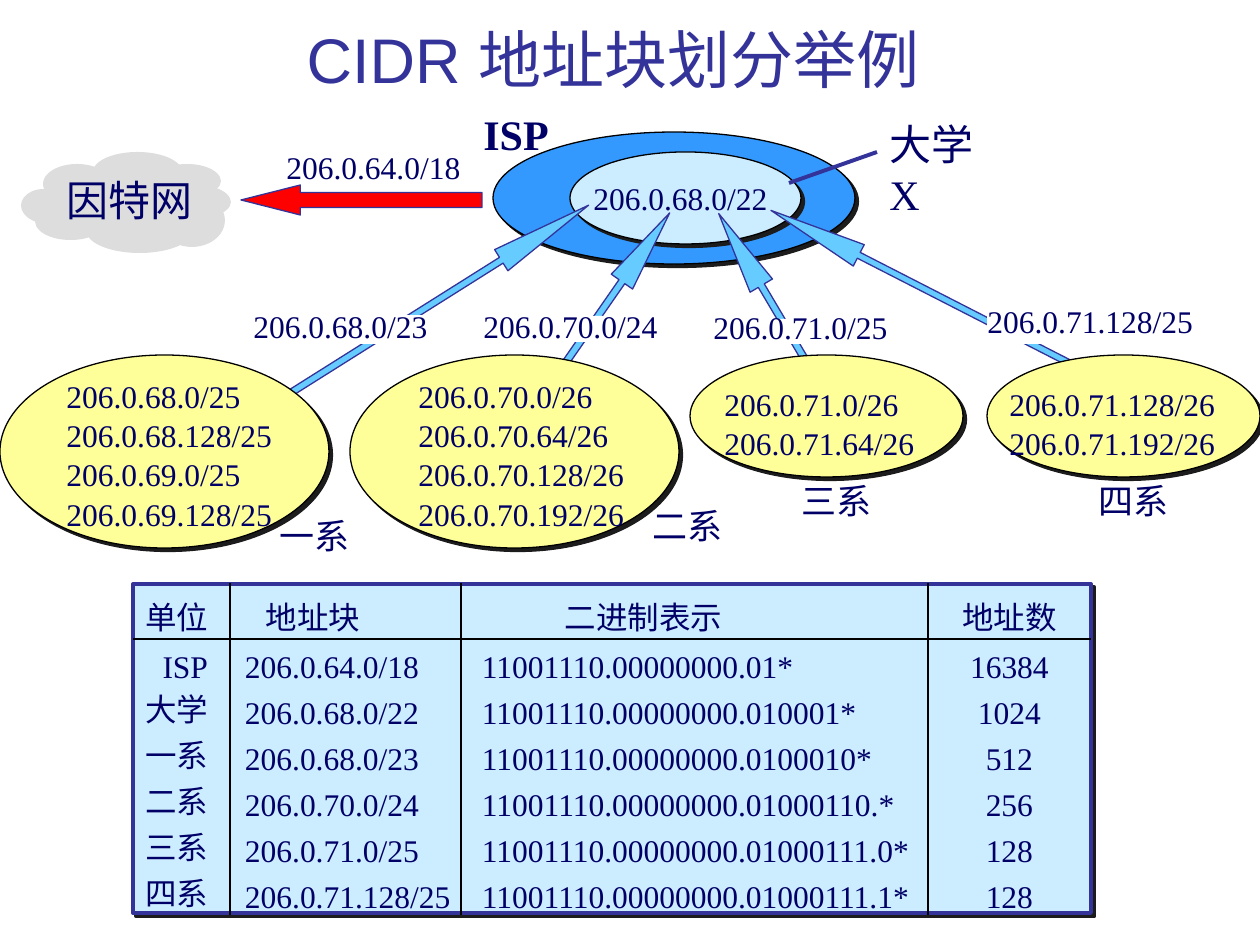
from dataclasses import dataclass

from lxml import etree
from pptx import Presentation
from pptx.dml.color import RGBColor
from pptx.enum.shapes import MSO_CONNECTOR, MSO_SHAPE
from pptx.enum.text import MSO_ANCHOR, PP_ALIGN
from pptx.oxml.ns import qn
from pptx.util import Pt

ELLIPSE, RECT, LEFT_ARROW = MSO_SHAPE.OVAL, MSO_SHAPE.RECTANGLE, MSO_SHAPE.LEFT_ARROW
LEFT, CENTER, RIGHT = PP_ALIGN.LEFT, PP_ALIGN.CENTER, PP_ALIGN.RIGHT
TOP, BOTTOM = MSO_ANCHOR.TOP, MSO_ANCHOR.BOTTOM
NO_GRID_STYLE = "{2D5ABB26-0587-4C30-8999-92F81FD0307C}"
EMU_PER_PX = 914400 / 126

Box = tuple[int, int, int, int]


@dataclass(frozen=True)
class Theme:
    accent: str = "333399"
    text: str = "000066"
    outline: str = "000000"
    shadow: str = "1C1C1C"
    cloud: str = "DDDDDD"
    isp: str = "3399FF"
    pale: str = "CCECFF"
    uplink: str = "FF0000"
    arrow: str = "66CCFF"
    department: str = "FFFF99"
    paper: str = "FFFFFF"
    title_font: str = "Arial"
    body_font: str = "Times New Roman"
    title_size: int = 36
    place_size: int = 24
    name_size: int = 20
    body_size: int = 18
    thin: float = 0.75
    thick: float = 2.25
    list_spacing: float = 1.04


THEME = Theme()


@dataclass(frozen=True)
class Department:
    name: str
    name_at: tuple[int, int]
    oval: Box
    subnets: list[str]
    subnets_box: Box
    block: str
    block_box: Box
    block_patch: Box
    arrow: Box
    angle: float
    head_length: float


@dataclass(frozen=True)
class Column:
    width: int
    align: PP_ALIGN
    margin_left: int
    margin_right: int
    header_margin: int


DEPARTMENTS = [
    Department("四系", (1086, 473), (987, 355, 273, 122),
               ["206.0.71.128/26", "206.0.71.192/26"], (997, 377, 231, 88),
               "206.0.71.128/25", (975, 296, 231, 50), (987, 315, 218, 29),
               (752, 277, 345, 24), 27.1, 4.11),
    Department("一系", (267, 508), (0, 355, 329, 193),
               ["206.0.68.0/25", "206.0.68.128/25", "206.0.69.0/25", "206.0.69.128/25"],
               (54, 369, 231, 164),
               "206.0.68.0/23", (241, 301, 199, 50), (252, 315, 185, 29),
               (248, 291, 369, 25), 147.8, 4.13),
    Department("二系", (640, 498), (350, 355, 329, 193),
               ["206.0.70.0/26", "206.0.70.64/26", "206.0.70.128/26", "206.0.70.192/26"],
               (406, 369, 231, 164),
               "206.0.70.0/24", (471, 301, 199, 50), (483, 316, 186, 26),
               (438, 321, 295, 26), 124.8, 3.22),
    Department("三系", (789, 473), (690, 355, 273, 122),
               ["206.0.71.0/26", "206.0.71.64/26"], (712, 377, 215, 88),
               "206.0.71.0/25", (701, 302, 199, 50), (712, 319, 185, 25),
               (646, 328, 296, 26), 59.4, 3.22),
]
CLOUD_PUFFS = [
    (93, 152, 89, 40), (43, 164, 68, 40), (21, 189, 45, 33),
    (35, 204, 69, 35), (86, 209, 105, 43), (154, 164, 66, 32),
    (164, 185, 66, 32), (158, 193, 66, 53), (59, 176, 135, 53),
]
COLUMNS = [Column(97, RIGHT, 0, 22, 0), Column(231, LEFT, 15, 0, 36),
           Column(467, LEFT, 21, 0, 104), Column(163, CENTER, 0, 0, 0)]
HEADER_HEIGHT, ROW_HEIGHT = 56, 46
ALLOCATIONS = [
    ("单位", "地址块", "二进制表示", "地址数"),
    ("ISP", "206.0.64.0/18", "11001110.00000000.01*", "16384"),
    ("大学", "206.0.68.0/22", "11001110.00000000.010001*", "1024"),
    ("一系", "206.0.68.0/23", "11001110.00000000.0100010*", "512"),
    ("二系", "206.0.70.0/24", "11001110.00000000.01000110.*", "256"),
    ("三系", "206.0.71.0/25", "11001110.00000000.01000111.0*", "128"),
    ("四系", "206.0.71.128/25", "11001110.00000000.01000111.1*", "128"),
]


def px(length: int) -> int:
    return round(length * EMU_PER_PX)


def emu(box: Box) -> list[int]:
    return [px(length) for length in box]


def rgb(color: str) -> RGBColor:
    return RGBColor.from_string(color)


def apply(target, values: dict) -> None:
    for attribute, value in values.items():
        setattr(target, attribute, value)


def style_font(font, size=THEME.body_size, color=THEME.text, name=THEME.body_font, bold=False) -> None:
    apply(font, {"size": Pt(size), "name": name, "bold": bold})
    font.color.rgb = rgb(color)


def add_color(parent, color: str) -> None:
    etree.SubElement(parent, qn("a:srgbClr"), val=color)


def add_figure(shapes, kind, box: Box, fill: str, line: str | None = None,
               weight: float = THEME.thin, shadow: bool = False):
    figure = shapes.add_shape(kind, *emu(box))
    figure.shadow.inherit = False
    figure.fill.solid()
    figure.fill.fore_color.rgb = rgb(fill)
    if line:
        figure.line.color.rgb = rgb(line)
        figure.line.width = Pt(weight)
    else:
        figure.line.fill.background()
    if shadow:
        effects = figure._element.spPr.find(qn("a:effectLst"))
        add_color(etree.SubElement(effects, qn("a:outerShdw"), dist=str(Pt(2.8)),
                                   dir="2700000", algn="ctr", rotWithShape="0"), THEME.shadow)
    return figure


def add_arrow(shapes, box: Box, fill: str, shaft: float, head: float, angle: float = 0) -> None:
    arrow = add_figure(shapes, LEFT_ARROW, box, fill, THEME.accent)
    arrow.adjustments[0], arrow.adjustments[1] = shaft, head
    arrow.rotation = angle


def add_label(shapes, box: Box, lines: list[str], align=LEFT, anchor=TOP,
              spacing: float | None = None, **font) -> None:
    frame = shapes.add_textbox(*emu(box)).text_frame
    apply(frame, {"word_wrap": False, "vertical_anchor": anchor, "text": "\n".join(lines)})
    for paragraph in frame.paragraphs:
        apply(paragraph, {"alignment": align, "line_spacing": spacing})
        style_font(paragraph.runs[0].font, **font)


def add_department(shapes, dept: Department) -> None:
    add_arrow(shapes, dept.arrow, THEME.arrow, 0.27, dept.head_length, dept.angle)
    add_figure(shapes, ELLIPSE, dept.oval, THEME.department, THEME.outline, shadow=True)
    add_label(shapes, dept.subnets_box, dept.subnets, spacing=THEME.list_spacing)
    add_figure(shapes, RECT, dept.block_patch, THEME.paper)
    add_label(shapes, dept.block_box, [dept.block])
    add_label(shapes, (*dept.name_at, 96, 54), [dept.name], size=THEME.name_size)


def add_allocation_table(shapes, left: int, top: int) -> None:
    height = HEADER_HEIGHT + ROW_HEIGHT * (len(ALLOCATIONS) - 1)
    width = sum(column.width for column in COLUMNS)
    table = shapes.add_table(len(ALLOCATIONS), len(COLUMNS), *emu((left, top, width, height))).table
    apply(table, {"first_row": False, "horz_banding": False})
    table._tbl.tblPr.find(qn("a:tableStyleId")).text = NO_GRID_STYLE
    for c, column in enumerate(COLUMNS):
        table.columns[c].width = px(column.width)
    for r, row in enumerate(ALLOCATIONS):
        table.rows[r].height = px(ROW_HEIGHT if r else HEADER_HEIGHT)
        for c, column in enumerate(COLUMNS):
            cell = table.cell(r, c)
            apply(cell, {"text": row[c], "vertical_anchor": BOTTOM, "margin_top": 0, "margin_bottom": 0,
                         "margin_left": px(column.margin_left if r else column.header_margin),
                         "margin_right": px(column.margin_right)})
            paragraph = cell.text_frame.paragraphs[0]
            paragraph.alignment = column.align
            style_font(paragraph.runs[0].font)
            # Rules run between columns and under the header
            edges = ["a:lnR"] * (c < len(COLUMNS) - 1) + ["a:lnB"] * (r == 0)
            for edge in edges:
                rule = etree.SubElement(cell._tc.get_or_add_tcPr(), qn(edge), w=str(Pt(THEME.thin)))
                add_color(etree.SubElement(rule, qn("a:solidFill")), THEME.outline)
            cell.fill.background()


def main() -> None:
    deck = Presentation()
    apply(deck, {"slide_width": px(1260), "slide_height": px(945)})
    shapes = deck.slides.add_slide(deck.slide_layouts[6]).shapes

    # Title
    add_label(shapes, (76, 6, 1074, 96), ["CIDR 地址块划分举例"], CENTER, BOTTOM,
              size=THEME.title_size, color=THEME.accent, name=THEME.title_font)

    # Internet cloud: two slightly offset layers of puffs
    cloud = shapes.add_group_shape().shapes
    for shift in (1, 0):
        for x, y, width, height in CLOUD_PUFFS:
            add_figure(cloud, ELLIPSE, (x + shift, y + shift, width, height), THEME.cloud)
    add_label(shapes, (54, 168, 151, 63), ["因特网"], size=THEME.place_size)

    # ISP with the university inside it
    add_figure(shapes, ELLIPSE, (493, 132, 362, 132), THEME.isp, THEME.outline, shadow=True)
    add_figure(shapes, ELLIPSE, (570, 152, 231, 92), THEME.pale, THEME.outline, shadow=True)
    add_label(shapes, (581, 173, 199, 50), ["206.0.68.0/22"])
    add_label(shapes, (274, 142, 199, 50), ["206.0.64.0/18"])
    add_arrow(shapes, (241, 185, 241, 30), THEME.uplink, 0.5, 1.98)
    add_label(shapes, (471, 102, 91, 63), ["ISP"], size=THEME.place_size, bold=True)
    add_label(shapes, (877, 112, 150, 115), ["大学", "X"], size=THEME.place_size)
    leader = shapes.add_connector(MSO_CONNECTOR.STRAIGHT, *emu((789, 183, 877, 152)))
    leader.line.color.rgb = rgb(THEME.accent)
    leader.line.width = Pt(THEME.thick)
    etree.SubElement(leader._element.spPr, qn("a:effectLst"))

    # Departments
    for department in DEPARTMENTS:
        add_department(shapes, department)

    # Allocation table on its framed panel
    add_figure(shapes, RECT, (133, 584, 958, 329), THEME.pale, THEME.accent, THEME.thick, shadow=True)
    add_allocation_table(shapes, 133, 583)

    deck.save("out.pptx")


if __name__ == "__main__":
    main()
